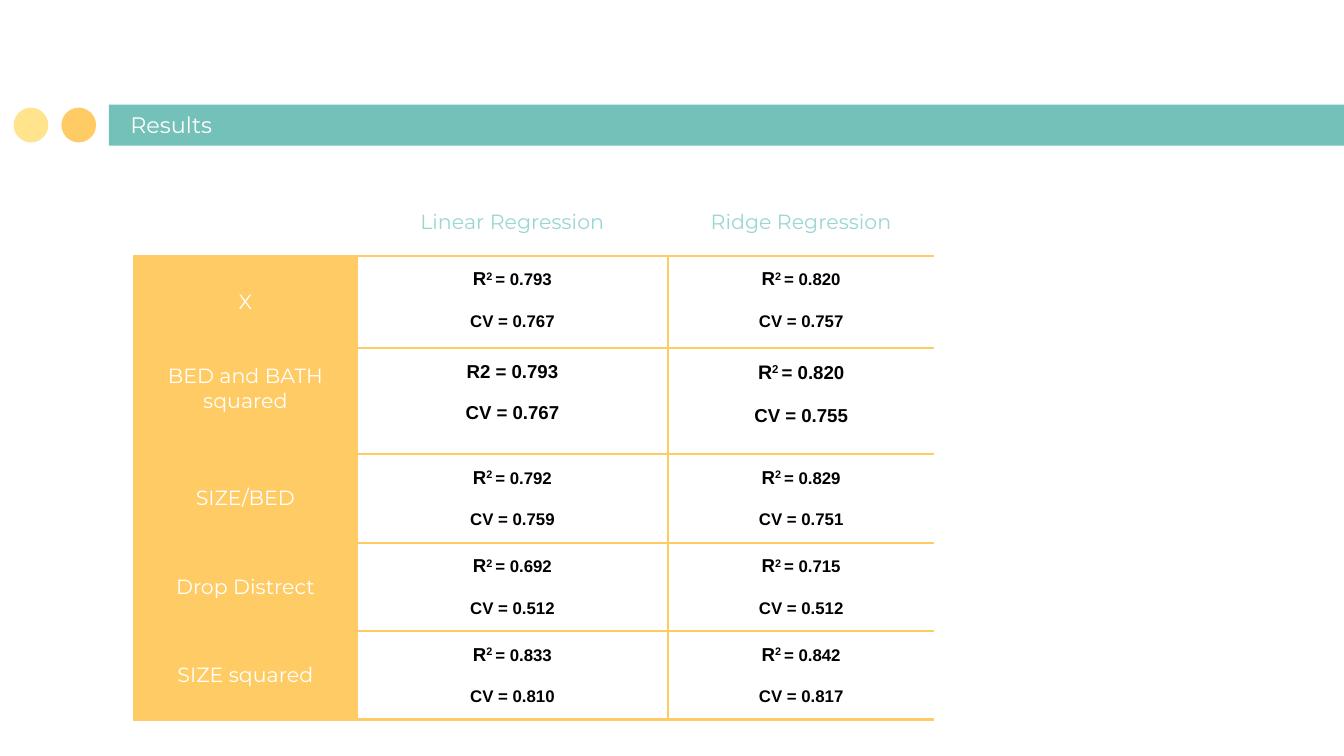
from dataclasses import dataclass

import pptx
import pptx.dml.color
import pptx.enum.shapes
import pptx.enum.text
import pptx.oxml
import pptx.oxml.ns
import pptx.util

Pt = pptx.util.Pt
ALIGN = pptx.enum.text.PP_ALIGN
ANCHOR = pptx.enum.text.MSO_ANCHOR


@dataclass(frozen=True)
class Theme:
    """Colours, fonts and type sizes of the slide."""
    teal: str = "74C1B9"
    pale_teal: str = "9AD7D2"
    amber: str = "FFCB64"
    pale_amber: str = "FFE48D"
    white: str = "FFFFFF"
    black: str = "000000"
    heading_font: str = "Montserrat"
    score_font: str = "Arial"
    title_size: float = 12
    label_size: float = 11
    border_width: float = 1.5
    inset: float = 7.2


@dataclass(frozen=True)
class ScoreStyle:
    """Type sizes and line gap of one score cell."""
    symbol: float = 10
    value: float = 9
    gap: float = 11.7
    raised: bool = True


THEME = Theme()
REGULAR = ScoreStyle()
PLAIN = ScoreStyle(value=10, gap=11.2, raised=False)
LARGE = ScoreStyle(symbol=10.5, value=10, gap=12.3)

HEADINGS = ("Linear Regression", "Ridge Regression")
RESULTS = (
    ("X", ("0.793", "0.767"), ("0.820", "0.757")),
    ("BED and BATH squared", ("0.793", "0.767"), ("0.820", "0.755")),
    ("SIZE/BED", ("0.792", "0.759"), ("0.829", "0.751")),
    ("Drop Distrect", ("0.692", "0.512"), ("0.715", "0.512")),
    ("SIZE squared", ("0.833", "0.810"), ("0.842", "0.817")),
)
SPECIAL_STYLES = {(2, 1): PLAIN, (2, 2): LARGE}
COLUMN_WIDTHS = (119, 167, 142.4)
ROW_HEIGHTS = (32.4, 49.4, 57, 47.2, 47.2, 47.2)
NO_STYLE = "{2D5ABB26-0587-4C30-8999-92F81FD0307C}"


def rgb(value):
    """Turn a hex string into a colour."""
    return pptx.dml.color.RGBColor.from_string(value)


def add_text(paragraph, text, *, size, color, font, bold=False, raised=False, align=ALIGN.CENTER):
    """Add a formatted run to a paragraph."""
    paragraph.alignment = align
    run = paragraph.add_run()
    run.text = text
    run.font.size = Pt(size)
    run.font.name = font
    run.font.bold = bold
    run.font.color.rgb = rgb(color)
    if raised:
        run.font._element.set("baseline", "30000")


def add_block(slide, kind, color, left, top, width, height):
    """Add a flat filled shape without an outline."""
    shape = slide.shapes.add_shape(kind, Pt(left), Pt(top), Pt(width), Pt(height))
    shape.shadow.inherit = False
    shape.fill.solid()
    shape.fill.fore_color.rgb = rgb(color)
    shape.line.fill.background()


def add_banner(slide, left, top, width, height):
    """Place the title bar, its two dots and the title."""
    kinds = pptx.enum.shapes.MSO_SHAPE
    bar_left, dot = left + 51.1, 18.6
    add_block(slide, kinds.RECTANGLE, THEME.teal, bar_left, top, width - 51.1, height)
    for index, color in enumerate((THEME.pale_amber, THEME.amber)):
        add_block(slide, kinds.OVAL, color, left + index * 25.6, top + (height - dot) / 2, dot, dot)

    title = slide.shapes.title
    title.left, title.top = Pt(bar_left + 4.2), Pt(top + 0.7)
    title.width, title.height = Pt(394.6), Pt(24.5)
    frame = title.text_frame
    frame.auto_size = pptx.enum.text.MSO_AUTO_SIZE.NONE
    frame.word_wrap = True
    frame.vertical_anchor = ANCHOR.BOTTOM
    frame.margin_left = frame.margin_right = Pt(THEME.inset)
    frame.margin_top = frame.margin_bottom = Pt(THEME.inset)
    add_text(frame.paragraphs[0], "Results", size=THEME.title_size, color=THEME.white,
             font=THEME.heading_font, align=ALIGN.LEFT)
    slide.shapes._spTree.append(title._element)


def format_cell(cell, sides, anchor=ANCHOR.TOP, fill=None):
    """Set a cell's insets, borders, anchor and fill."""
    cell.margin_left = cell.margin_right = Pt(THEME.inset)
    cell.margin_top = cell.margin_bottom = Pt(THEME.inset)
    cell.vertical_anchor = anchor
    properties = cell._tc.get_or_add_tcPr()
    for side in sides:
        properties.append(pptx.oxml.parse_xml(
            f'<a:ln{side} {pptx.oxml.ns.nsdecls("a")} w="{Pt(THEME.border_width)}">'
            f'<a:solidFill><a:srgbClr val="{THEME.amber}"/></a:solidFill></a:ln{side}>'))
    if fill:
        cell.fill.solid()
        cell.fill.fore_color.rgb = rgb(fill)
    else:
        cell.fill.background()


def add_label(cell, text, color):
    """Write a row or column heading."""
    add_text(cell.text_frame.paragraphs[0], text, size=THEME.label_size, color=color,
             font=THEME.heading_font)


def add_scores(cell, r_squared, cross_validation, style):
    """Write the two scores of one model in a cell."""
    common = {"color": THEME.black, "font": THEME.score_font, "bold": True}
    first = cell.text_frame.paragraphs[0]
    if style.raised:
        add_text(first, "R", size=style.symbol, **common)
        add_text(first, "2 ", size=style.symbol, raised=True, **common)
        add_text(first, f"= {r_squared}", size=style.value, **common)
    else:
        add_text(first, f"R2 = {r_squared}", size=style.symbol, **common)
    second = cell.text_frame.add_paragraph()
    second.space_before = Pt(style.gap)
    add_text(second, f"CV = {cross_validation}", size=style.value, **common)


def add_results(slide, left, top, width, height):
    """Place the table of regression scores."""
    frame = slide.shapes.add_table(len(ROW_HEIGHTS), len(COLUMN_WIDTHS),
                                   Pt(left), Pt(top), Pt(width), Pt(height))
    table = frame.table
    table.first_row = table.horz_banding = False
    table._tbl.tblPr.find(pptx.oxml.ns.qn("a:tableStyleId")).text = NO_STYLE
    for column, column_width in zip(table.columns, COLUMN_WIDTHS):
        column.width = Pt(column_width)
    for row, row_height in zip(table.rows, ROW_HEIGHTS):
        row.height = Pt(row_height)

    format_cell(table.cell(0, 0), "B")
    for column, heading in enumerate(HEADINGS, 1):
        cell = table.cell(0, column)
        format_cell(cell, "B", ANCHOR.MIDDLE)
        add_label(cell, heading, THEME.pale_teal)
    for row, (label, *models) in enumerate(RESULTS, 1):
        label_cell = table.cell(row, 0)
        format_cell(label_cell, "LRTB", ANCHOR.MIDDLE, THEME.amber)
        add_label(label_cell, label, THEME.white)
        for column, scores in enumerate(models, 1):
            cell = table.cell(row, column)
            format_cell(cell, "LTB" if column == 1 else "TB")
            add_scores(cell, *scores, SPECIAL_STYLES.get((row, column), REGULAR))
    table.cell(2, 0).margin_bottom = Pt(20.6)


def main():
    """Build and save the results slide."""
    presentation = pptx.Presentation()
    presentation.slide_width, presentation.slide_height = Pt(720), Pt(405)
    slide = presentation.slides.add_slide(presentation.slide_layouts[0])
    subtitle = slide.placeholders[1]._element
    subtitle.getparent().remove(subtitle)
    add_banner(slide, 7.3, 56, 735.1, 22)
    add_results(slide, 72, 100.6, sum(COLUMN_WIDTHS), sum(ROW_HEIGHTS))
    presentation.save("out.pptx")


if __name__ == "__main__":
    main()
